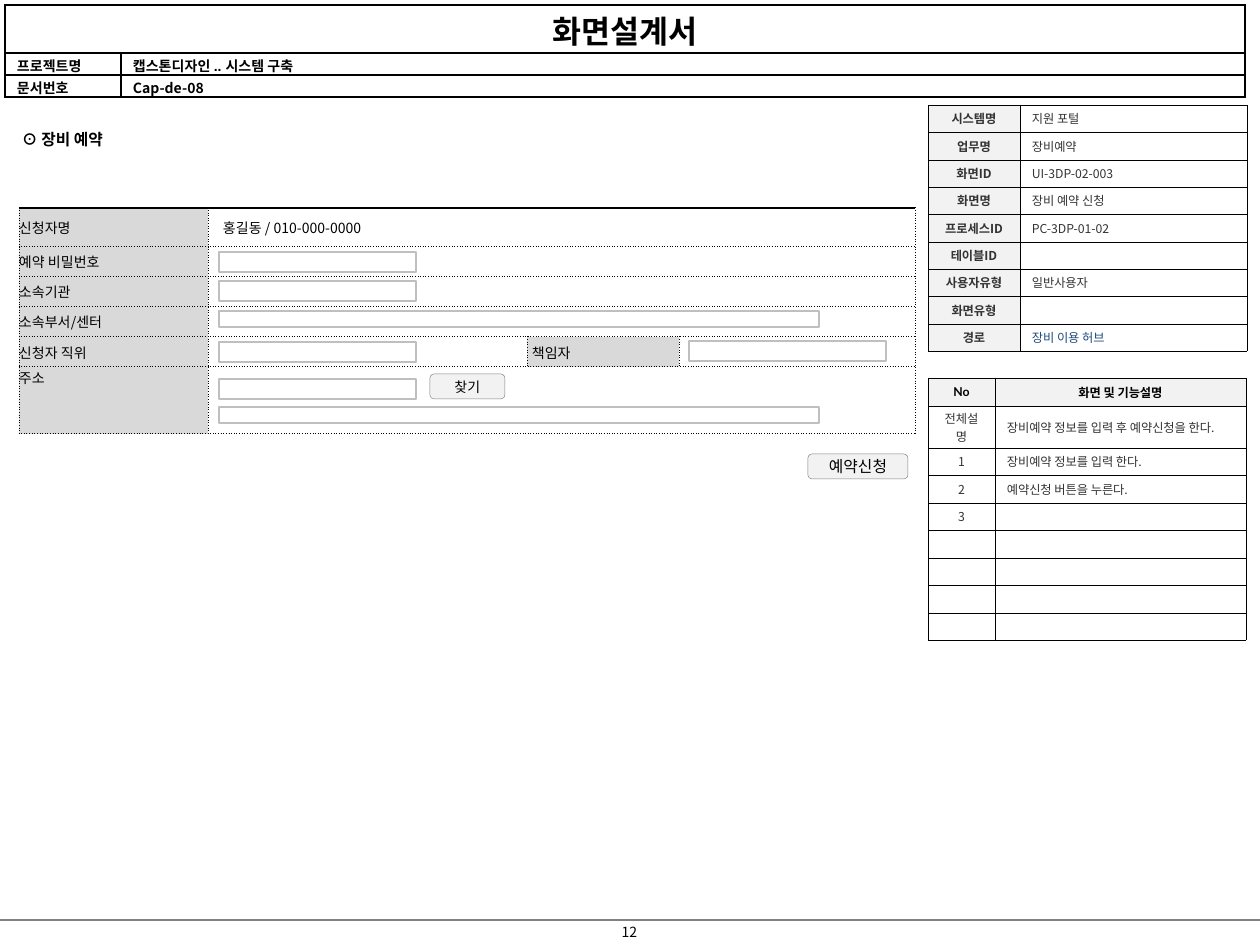
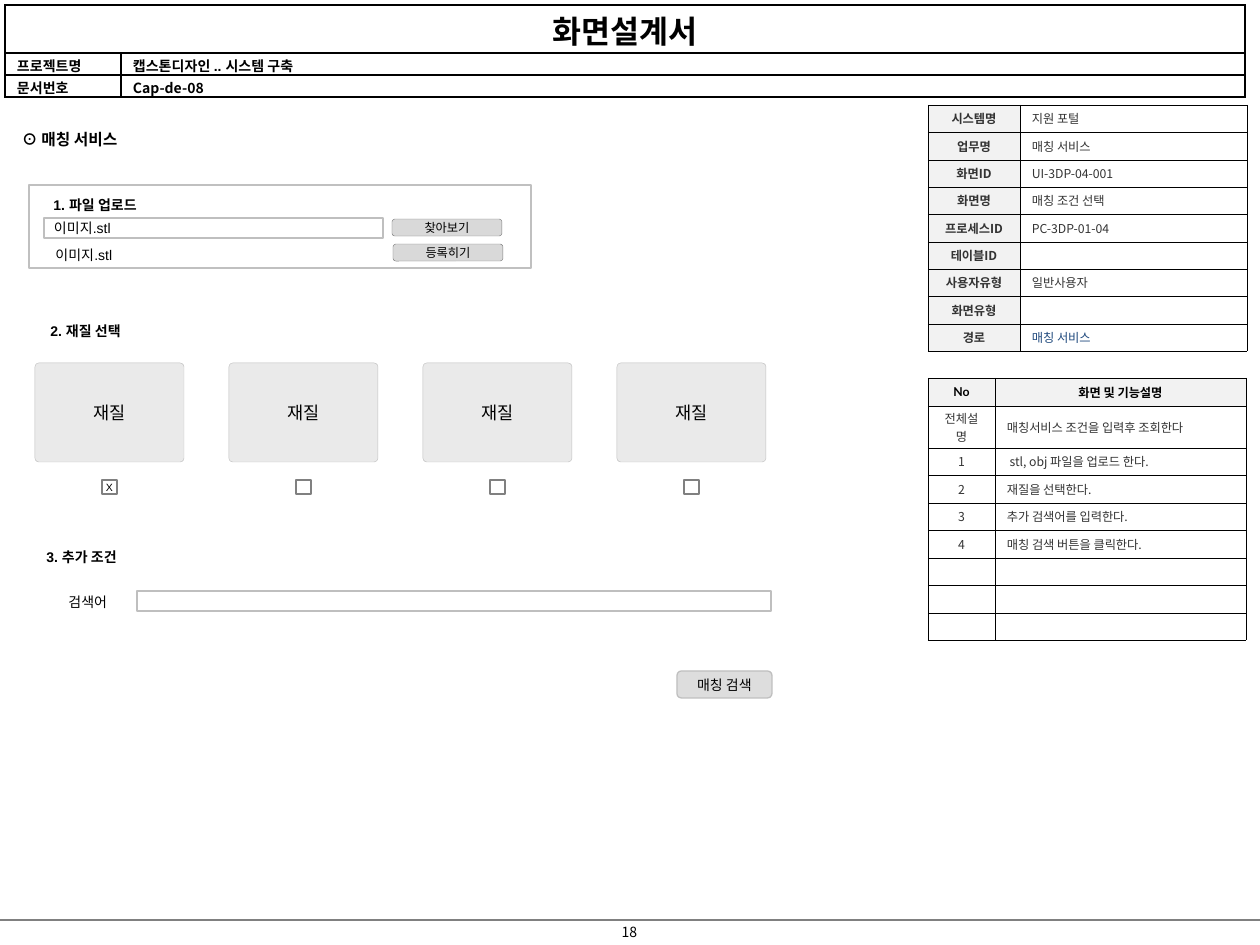
from lxml.etree import SubElement
from pptx import Presentation
from pptx.dml.color import RGBColor
from pptx.enum.shapes import MSO_CONNECTOR, MSO_SHAPE
from pptx.enum.text import MSO_ANCHOR, MSO_AUTO_SIZE, PP_ALIGN
from pptx.oxml.ns import qn
from pptx.util import Emu, Pt

EMU_PER_PX = 914400 / 126
COLORS = {
    "black": "000000", "white": "FFFFFF", "text": "333333", "link": "1F497D",
    "head": "F2F2F2", "label": "D9D9D9", "search": "DDDDDD", "card": "EAEAEA",
    "border": "BFBFBF", "frame": "C0C0C0", "outline": "808080",
}
KOREAN = "Noto Sans CJK KR"
ARIAL = "Arial"
INFO_LABELS = ["시스템명", "업무명", "화면ID", "화면명", "프로세스ID",
               "테이블ID", "사용자유형", "화면유형", "경로"]


def px(length):
    return Emu(round(length * EMU_PER_PX))


def color(name):
    return RGBColor.from_string(COLORS[name])


def even_split(total, count):
    edges = [round(total * i / count) for i in range(count + 1)]
    return [end - start for start, end in zip(edges, edges[1:])]


def write(frame, text, size, font=KOREAN, bold=False, ink="black",
          align=PP_ALIGN.LEFT):
    paragraph = frame.paragraphs[0]
    paragraph.alignment = align
    if not text:
        SubElement(paragraph._p, qn("a:endParaRPr"), sz=str(size * 100))
        return
    run = paragraph.add_run()
    run.text = text
    run.font.size = Pt(size)
    run.font.name = font
    run.font.bold = bold
    run.font.color.rgb = color(ink)
    SubElement(run._r.get_or_add_rPr(), qn("a:ea"), typeface=KOREAN)


def set_margins(target, left, top, right, bottom):
    target.margin_left, target.margin_top = px(left), px(top)
    target.margin_right, target.margin_bottom = px(right), px(bottom)


def add_text(slide, left, top, width, text, size=8, font=ARIAL, **style):
    frame = slide.shapes.add_textbox(
        px(left), px(top), px(width), px(30)).text_frame
    frame.word_wrap = True
    frame.vertical_anchor = MSO_ANCHOR.MIDDLE
    write(frame, text, size, font, **style)


def add_box(slide, left, top, width, height, fill="white", line="border",
            weight=0.75, kind=MSO_SHAPE.RECTANGLE, corner=None):
    shape = slide.shapes.add_shape(
        kind, px(left), px(top), px(width), px(height))
    shape.shadow.inherit = False
    if fill:
        shape.fill.solid()
        shape.fill.fore_color.rgb = color(fill)
    else:
        shape.fill.background()
    shape.line.color.rgb = color(line)
    shape.line.width = Pt(weight)
    if corner is not None:
        shape.adjustments[0] = corner
    return shape


def label_box(shape, text, size, font=KOREAN, align=PP_ALIGN.CENTER,
              left_margin=0):
    frame = shape.text_frame
    frame.word_wrap = False
    frame.vertical_anchor = MSO_ANCHOR.MIDDLE
    set_margins(frame, left_margin, 0, 0, 0)
    write(frame, text, size, font, align=align)


def add_button(slide, left, top, width, height, text, size, fill="head",
               font=KOREAN):
    button = add_box(slide, left, top, width, height, fill, "outline", 0.25,
                     MSO_SHAPE.ROUNDED_RECTANGLE, 0.17)
    label_box(button, text, size, font)


def add_grid(slide, left, top, columns, rows):
    table = slide.shapes.add_table(
        len(rows), len(columns), px(left), px(top),
        px(sum(columns)), px(sum(rows))).table
    table.first_row = False
    table.horz_banding = False
    for column, width in zip(table.columns, columns):
        column.width = px(width)
    for row, height in zip(table.rows, rows):
        row.height = px(height)
    return table


def set_borders(cell, weight, dash="solid", top=None):
    properties = cell._tc.get_or_add_tcPr()
    for side in "LRTB":
        side_weight, side_dash = weight, dash
        if side == "T" and top:
            side_weight, side_dash = top, "solid"
        line = SubElement(properties, qn(f"a:ln{side}"),
                          w=str(Pt(side_weight)))
        fill = SubElement(line, qn("a:solidFill"))
        SubElement(fill, qn("a:srgbClr"), val=COLORS["black"])
        SubElement(line, qn("a:prstDash"), val=side_dash)


def fill_cell(cell, text, size, margins, weight, fill=None, dash="solid",
              top=None, anchor=MSO_ANCHOR.MIDDLE, **style):
    set_borders(cell, weight, dash, top)
    if fill:
        cell.fill.solid()
        cell.fill.fore_color.rgb = color(fill)
    else:
        cell.fill.background()
    set_margins(cell, *margins)
    cell.vertical_anchor = anchor
    write(cell.text_frame, text, size, **style)


def add_header(slide):
    table = add_grid(slide, 5, 5, [116, 1124], [48, 22, 22])
    table.cell(0, 0).merge(table.cell(0, 1))
    rows = [["화면설계서", ""],
            ["프로젝트명", "캡스톤디자인 .. 시스템 구축"],
            ["문서번호", "Cap-de-08"]]
    for r, texts in enumerate(rows):
        for c, text in enumerate(texts):
            fill_cell(table.cell(r, c), text, 8 if r else 18, (12, 2, 12, 0),
                      1, "white", anchor=MSO_ANCHOR.TOP, bold=True,
                      font=ARIAL if r and text != "Cap-de-08" else KOREAN,
                      align=PP_ALIGN.LEFT if r else PP_ALIGN.CENTER)


def add_footer(slide, number):
    line = slide.shapes.add_connector(
        MSO_CONNECTOR.STRAIGHT, 0, px(920), px(1260), px(920))
    line.line.color.rgb = color("outline")
    line.line.width = Pt(0.75)
    SubElement(line._element.spPr, qn("a:effectLst"))
    add_text(slide, 595, 917, 69, number, font=KOREAN, align=PP_ALIGN.CENTER)


def set_title(slide, text):
    title = slide.shapes.title
    title.left, title.top, title.width, title.height = map(
        px, (9, 123, 400, 32))
    frame = title.text_frame
    frame.auto_size = MSO_AUTO_SIZE.NONE
    frame.vertical_anchor = MSO_ANCHOR.MIDDLE
    set_margins(frame, 13, 6, 13, 6)
    write(frame, text, 9, bold=True)


def add_info_table(slide, values):
    table = add_grid(slide, 928, 105, [92, 227], even_split(246, 9))
    for r, (label, value) in enumerate(zip(INFO_LABELS, values)):
        fill_cell(table.cell(r, 0), label, 7, (6, 3, 6, 3), 0.25, "head",
                  bold=True, ink="text", align=PP_ALIGN.CENTER)
        fill_cell(table.cell(r, 1), value, 7, (12, 3, 12, 3), 0.25,
                  ink="link" if label == "경로" else "text")


def add_function_table(slide, summary, steps):
    table = add_grid(slide, 928, 378, [67, 251],
                     [28, 42] + even_split(192, 7))
    rows = [("No", "화면 및 기능설명"), ("전체설명", summary)]
    rows += [(str(n), step) for n, step in enumerate(steps, 1)]
    rows += [("", "")] * (9 - len(rows))
    for r, texts in enumerate(rows):
        for c, text in enumerate(texts):
            head = r == 0
            font = ("Lato", ARIAL)[c] if head else KOREAN
            centered = head or c == 0
            fill_cell(table.cell(r, c), text, 7, (12, 3, 12, 3), 0.25,
                      "head" if head else None, font=font, bold=head,
                      ink="black" if head else "text",
                      align=PP_ALIGN.CENTER if centered else PP_ALIGN.LEFT)


def add_screen(presentation, title, number, info, summary, steps):
    slide = presentation.slides.add_slide(presentation.slide_layouts[5])
    add_footer(slide, number)
    add_header(slide)
    set_title(slide, title)
    add_function_table(slide, summary, steps)
    add_info_table(slide, info)
    return slide


def add_reservation_form(slide):
    rows = [["신청자명", "홍길동 / 010-000-0000", "", ""],
            ["예약 비밀번호", "", "", ""],
            ["소속기관", "", "", ""],
            ["소속부서/센터", "", "", ""],
            ["신청자 직위", "", "책임자", ""],
            ["주소", "", "", ""]]
    table = add_grid(slide, 19, 208, [189, 319, 152, 236],
                     [38, 30, 30, 31, 30, 67])
    for r, texts in enumerate(rows):
        if not texts[2]:
            table.cell(r, 1).merge(table.cell(r, 3))
        for c, text in enumerate(texts):
            is_label = c == 0 or text == "책임자"
            margins = (0 if c == 0 else 5 if is_label else 15, 0, 5, 0)
            fill_cell(table.cell(r, c), text, 8, margins, 0.5,
                      "label" if is_label else "white", "sysDot",
                      top=None if r else 1,
                      anchor=MSO_ANCHOR.TOP if text == "주소"
                      else MSO_ANCHOR.MIDDLE)
    for left, top in [(219, 252), (219, 281), (219, 342), (689, 341),
                      (219, 379)]:
        add_box(slide, left, top, 197, 20)
    for top in (311, 407):
        add_box(slide, 219, top, 600, 16)
    add_button(slide, 430, 374, 75, 25, "찾기", 8, font="Noto Sans Mono")
    add_button(slide, 808, 454, 100, 25, "예약신청", 9)


def add_upload_panel(slide):
    add_box(slide, 29, 185, 502, 83, line="frame")
    field = add_box(slide, 44, 218, 339, 20)
    label_box(field, "이미지.stl", 8, ARIAL, PP_ALIGN.LEFT, 10)
    add_button(slide, 392, 219, 110, 17, "찾아보기", 7, "label")
    add_button(slide, 393, 244, 110, 17, "등록히기", 7, "label")
    add_text(slide, 43, 240, 160, "이미지.stl")
    add_text(slide, 41, 190, 200, "1. 파일 업로드", bold=True)


def add_material_choices(slide):
    add_text(slide, 38, 316, 200, "2. 재질 선택", bold=True)
    for i in range(4):
        left = 35 + 194 * i
        card = add_box(slide, left, 363, 149, 99, "card", "frame", 0.25,
                       MSO_SHAPE.ROUNDED_RECTANGLE, 0.04)
        label_box(card, "재질", 10)
        check = add_box(slide, left + 67, 480, 15, 14, None, "outline")
        if i == 0:
            label_box(check, "X", 6, ARIAL)


def add_search(slide):
    add_text(slide, 34, 542, 200, "3. 추가 조건", bold=True)
    add_text(slide, 56, 587, 80, "검색어")
    add_box(slide, 137, 591, 634, 20)
    button = add_box(slide, 677, 671, 95, 27, "search",
                     kind=MSO_SHAPE.FLOWCHART_ALTERNATE_PROCESS)
    label_box(button, "매칭 검색", 8, ARIAL)


def main():
    presentation = Presentation()
    presentation.slide_width = px(1260)
    presentation.slide_height = px(945)

    reservation = add_screen(
        presentation, "⊙ 장비 예약", "12",
        ["지원 포털", "장비예약", "UI-3DP-02-003", "장비 예약 신청",
         "PC-3DP-01-02", "", "일반사용자", "", "장비 이용 허브"],
        "장비예약 정보를 입력 후 예약신청을 한다.",
        ["장비예약 정보를 입력 한다.", "예약신청 버튼을 누른다.", ""])
    add_reservation_form(reservation)

    matching = add_screen(
        presentation, "⊙ 매칭 서비스", "18",
        ["지원 포털", "매칭 서비스", "UI-3DP-04-001", "매칭 조건 선택",
         "PC-3DP-01-04", "", "일반사용자", "", "매칭 서비스"],
        "매칭서비스 조건을 입력후 조회한다",
        [" stl, obj 파일을 업로드 한다.", "재질을 선택한다.",
         "추가 검색어를 입력한다.", "매칭 검색 버튼을 클릭한다."])
    add_upload_panel(matching)
    add_material_choices(matching)
    add_search(matching)

    presentation.save("out.pptx")


if __name__ == "__main__":
    main()
